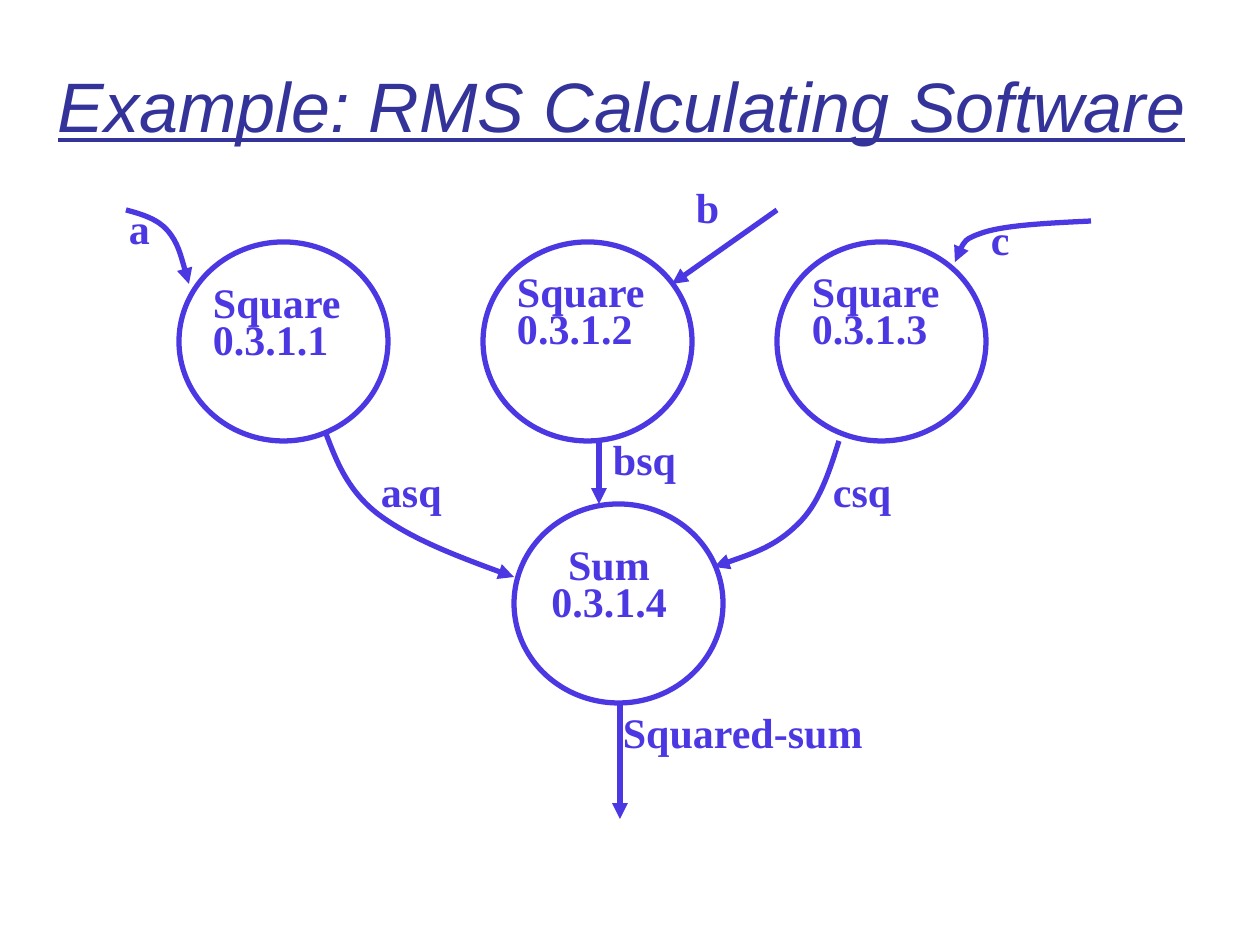
from lxml.etree import SubElement
from pptx import Presentation
from pptx.dml.color import RGBColor
from pptx.enum.shapes import MSO_CONNECTOR, MSO_SHAPE
from pptx.enum.text import MSO_ANCHOR, MSO_AUTO_SIZE, PP_ALIGN
from pptx.oxml.ns import qn
from pptx.util import Pt

NAVY = RGBColor(0x33, 0x33, 0x99)
VIOLET = RGBColor(0x4C, 0x38, 0xE2)
PX = 914400 / 126
CIRCLE_WIDTH, CIRCLE_HEIGHT = 209, 199


def emu(*lengths):
    return [round(length * PX) for length in lengths]


class FlowDiagram:
    """Draws the parts of a data flow diagram on one slide."""

    def __init__(self, slide):
        self.slide = slide
        self.shapes = slide.shapes

    def format_text(self, frame, text, font_name, size, color, align):
        frame.word_wrap = True
        frame.auto_size = MSO_AUTO_SIZE.NONE
        frame.margin_left, frame.margin_right = emu(3, 3)
        frame.margin_top, frame.margin_bottom = emu(6, 6)
        frame.text = text
        paragraph = frame.paragraphs[0]
        paragraph.alignment = align
        paragraph.space_before = Pt(0)
        paragraph.font.name = font_name
        paragraph.font.size = Pt(size)
        paragraph.font.color.rgb = color
        return paragraph

    def title(self, text, left, top, width, height):
        title = self.shapes.title
        title.left, title.top, title.width, title.height = emu(left, top, width, height)
        title.text_frame.vertical_anchor = MSO_ANCHOR.MIDDLE
        paragraph = self.format_text(title.text_frame, text, "Arial", 40, NAVY, PP_ALIGN.LEFT)
        paragraph.font.italic = True
        paragraph.font.underline = True

    def label(self, text, left, top, width=105, height=63, align=PP_ALIGN.LEFT):
        box = self.shapes.add_textbox(*emu(left, top, width, height))
        paragraph = self.format_text(box.text_frame, text, "Times New Roman", 24, VIOLET, align)
        paragraph.line_spacing = 0.72
        paragraph.font.bold = True

    def stroke(self, shape, arrow=True):
        shape.line.color.rgb = VIOLET
        shape.line.width = Pt(3)
        if arrow:
            line = shape._element.spPr.find(qn("a:ln"))
            SubElement(line, qn("a:tailEnd"), type="triangle")

    def circle(self, left, top):
        circle = self.shapes.add_shape(
            MSO_SHAPE.OVAL, *emu(left, top, CIRCLE_WIDTH, CIRCLE_HEIGHT))
        circle.shadow.inherit = False
        circle.fill.background()
        self.stroke(circle, arrow=False)

    def straight_arrow(self, start, end):
        arrow = self.shapes.add_connector(MSO_CONNECTOR.STRAIGHT, *emu(*start, *end))
        self.stroke(arrow)
        SubElement(arrow._element.spPr, qn("a:effectLst"))

    def curved_arrow(self, start, *control_points):
        builder = self.shapes.build_freeform(*start, scale=PX)
        builder.add_line_segments(control_points, close=False)
        arrow = builder.convert_to_shape()
        arrow.shadow.inherit = False
        arrow.fill.background()
        self.stroke(arrow)
        segments = list(arrow._element.iter(qn("a:lnTo")))
        outline = segments[0].getparent()
        for first in range(0, len(segments), 3):
            curve = SubElement(outline, qn("a:cubicBezTo"))
            for segment in segments[first:first + 3]:
                curve.append(segment[0])
                outline.remove(segment)


def main():
    presentation = Presentation()
    presentation.slide_width, presentation.slide_height = emu(1260, 945)
    diagram = FlowDiagram(presentation.slides.add_slide(presentation.slide_layouts[5]))
    diagram.title("Example: RMS Calculating Software", 55, 23, 1205, 163)

    for left, top in ((179, 242), (483, 242), (777, 242), (514, 504)):
        diagram.circle(left, top)

    curves = (
        ((126, 210), (141, 214), (158, 219), (168, 231), (178, 243), (183, 263), (189, 284)),
        ((1091, 221), (1050, 223), (1008, 225), (985, 232), (963, 239), (959, 250), (955, 262)),
        ((325, 431), (336, 460), (347, 490), (378, 514), (410, 538), (461, 558), (514, 577)),
        ((839, 441), (829, 473), (819, 504), (798, 524), (776, 546), (746, 556), (714, 567)),
    )
    for curve in curves:
        diagram.curved_arrow(*curve)
    for start, end in (((777, 210), (672, 284)), ((599, 441), (599, 504)), ((620, 703), (620, 819))):
        diagram.straight_arrow(start, end)

    processes = (
        ("Square\v0.3.1.1", 210, 284, PP_ALIGN.LEFT),
        ("Square\v0.3.1.2", 514, 273, PP_ALIGN.LEFT),
        ("Square\v0.3.1.3", 809, 273, PP_ALIGN.LEFT),
        ("Sum\v0.3.1.4", 525, 546, PP_ALIGN.CENTER),
    )
    for process, left, top, align in processes:
        diagram.label(process, left, top, 168, 113, align)

    flows = (
        ("a", 126, 210), ("b", 693, 189), ("c", 988, 221),
        ("asq", 378, 473), ("bsq", 610, 441), ("csq", 830, 473),
    )
    for flow, left, top in flows:
        diagram.label(flow, left, top)
    diagram.label("Squared-sum", 620, 714, width=378)

    presentation.save("out.pptx")


if __name__ == "__main__":
    main()
